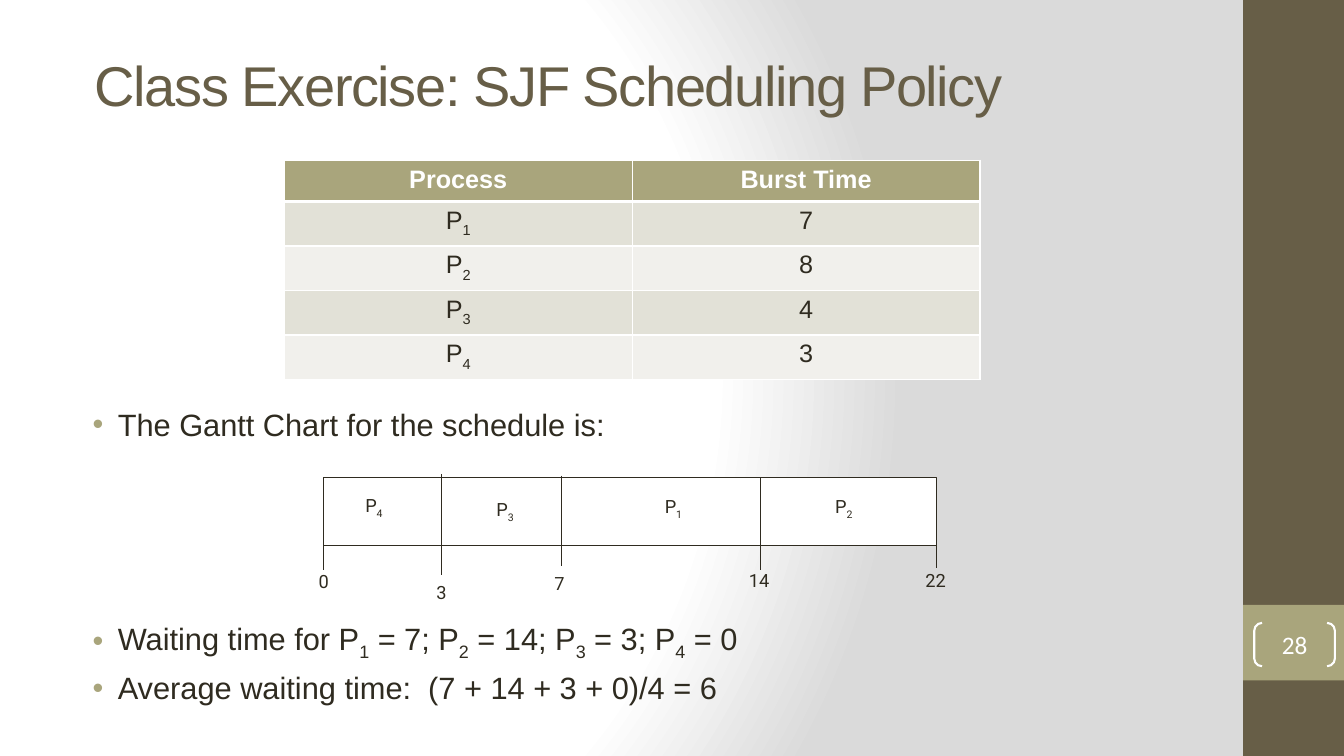
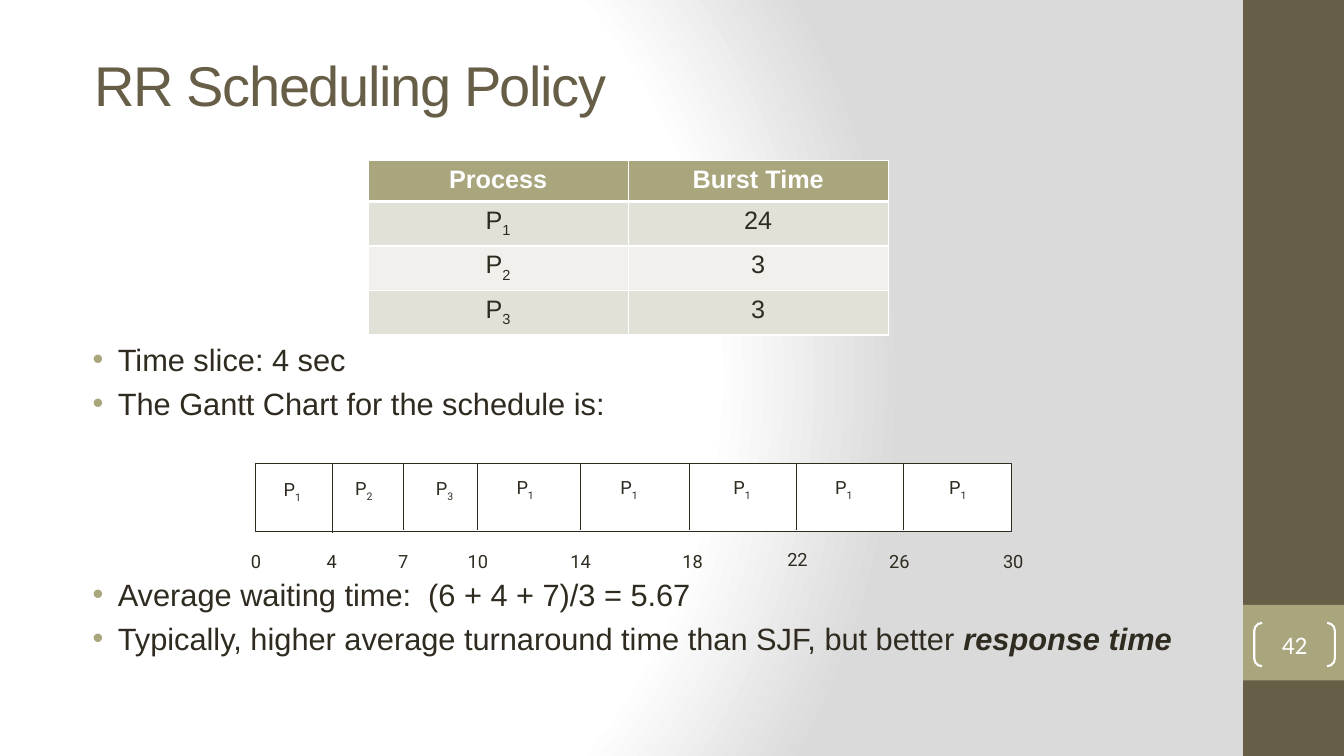
from dataclasses import dataclass

from pptx import Presentation
from pptx.dml.color import RGBColor
from pptx.enum.shapes import MSO_CONNECTOR, MSO_SHAPE
from pptx.enum.text import MSO_ANCHOR, PP_ALIGN
from pptx.oxml import parse_xml
from pptx.oxml.ns import nsdecls
from pptx.util import Emu, Pt

PX = 9144
RECTANGLE = MSO_SHAPE.RECTANGLE
BRACKETS = MSO_SHAPE.DOUBLE_BRACKET
STRAIGHT = MSO_CONNECTOR.STRAIGHT
CENTER = PP_ALIGN.CENTER
LEFT = PP_ALIGN.LEFT
JUSTIFY = PP_ALIGN.JUSTIFY
MIDDLE = MSO_ANCHOR.MIDDLE
TOP = MSO_ANCHOR.TOP
BLANK_LAYOUT = 6


@dataclass(frozen=True)
class Theme:
    brown: str = "675E47"
    olive: str = "A9A57C"
    ink: str = "2F2B20"
    white: str = "FFFFFF"
    shade: str = "DADADA"
    odd_row: str = "E2E1D7"
    even_row: str = "F1F0EC"
    sans: str = "Arial"
    chart_font: str = "Roboto"
    number_font: str = "Calibri"
    title_size: int = 40
    body_size: int = 22
    table_size: int = 18
    number_size: int = 18
    chart_size: int = 13


THEME = Theme()


@dataclass(frozen=True)
class Box:
    left: int
    top: int
    width: int
    height: int

    def emu(self) -> tuple[Emu, Emu, Emu, Emu]:
        return px(self.left), px(self.top), px(self.width), px(self.height)


@dataclass(frozen=True)
class Label:
    text: str
    x: int
    y: int


@dataclass(frozen=True)
class Divider:
    x: int
    top: int
    bottom: int


@dataclass(frozen=True)
class Gantt:
    bar: Box
    dividers: list[Divider]
    labels: list[Label]


@dataclass(frozen=True)
class Bullets:
    top: int
    lines: list[str]


@dataclass(frozen=True)
class Exercise:
    title: str
    number: int
    table_left: int
    column_width: int
    bursts: list[int]
    bullets: list[Bullets]
    gantt: Gantt


def px(length: int) -> Emu:
    return Emu(length * PX)


def split_spans(line: str) -> list[tuple[str, bool, bool]]:
    spans = []
    for index, part in enumerate(line.split("*")):
        strong = index % 2 == 1
        first, *rest = part.split("_")
        spans.append((first, False, strong))
        for piece in rest:
            spans += [(piece[:1], True, strong), (piece[1:], False, strong)]
    return [span for span in spans if span[0]]


def add_bullet(para) -> None:
    properties = para._p.get_or_add_pPr()
    properties.set("marL", str(px(38)))
    properties.set("indent", str(-px(25)))
    for tag in (
        f'<a:buClr {nsdecls("a")}><a:srgbClr val="{THEME.olive}"/></a:buClr>',
        f'<a:buFont {nsdecls("a")} typeface="{THEME.sans}"/>',
        f'<a:buChar {nsdecls("a")} char="•"/>',
    ):
        properties.append(parse_xml(tag))


def write_text(frame, lines: list[str], *, size: int, font: str = THEME.sans,
               color: str = THEME.ink, align=LEFT, bold: bool = False,
               tracking: int = 0, bullet: bool = False, gap: int = 0) -> None:
    for index, line in enumerate(lines):
        para = frame.add_paragraph() if index else frame.paragraphs[0]
        if bullet:
            add_bullet(para)
        para.alignment = align
        if index and gap:
            para.space_before = Pt(gap)
        for text, lowered, strong in split_spans(line):
            span = para.add_run()
            span.text = text
            span.font.size = Pt(size)
            span.font.name = font
            span.font.color.rgb = RGBColor.from_string(color)
            span.font.bold = bold or strong
            span.font.italic = strong
            properties = span._r.get_or_add_rPr()
            if lowered:
                properties.set("baseline", "-25000")
            if tracking:
                properties.set("spc", str(tracking))


def set_frame(frame, *, anchor, wrap: bool, inset_x: int, inset_y: int) -> None:
    frame.word_wrap = wrap
    frame.vertical_anchor = anchor
    frame.margin_left = frame.margin_right = px(inset_x)
    frame.margin_top = frame.margin_bottom = px(inset_y)


def add_text(page, box: Box, lines: list[str], *, anchor=TOP, wrap: bool = True,
             inset_y: int = 0, **text_format) -> None:
    frame = page.shapes.add_textbox(*box.emu()).text_frame
    set_frame(frame, anchor=anchor, wrap=wrap, inset_x=10, inset_y=inset_y)
    write_text(frame, lines, **text_format)


def add_shape(page, kind, box: Box, *, fill: str = "", line: str = "",
              weight: float = 0.75):
    shape = page.shapes.add_shape(kind, *box.emu())
    shape.shadow.inherit = False
    if fill:
        shape.fill.solid()
        shape.fill.fore_color.rgb = RGBColor.from_string(fill)
    else:
        shape.fill.background()
    if line:
        shape.line.color.rgb = RGBColor.from_string(line)
        shape.line.width = Pt(weight)
    else:
        shape.line.fill.background()
    return shape


def add_divider(page, divider: Divider) -> None:
    line = page.shapes.add_connector(STRAIGHT, px(divider.x), px(divider.top),
                                     px(divider.x), px(divider.bottom))
    line.line.color.rgb = RGBColor.from_string(THEME.ink)
    line.line.width = Pt(0.75)
    line._element.spPr.append(parse_xml(f'<a:effectLst {nsdecls("a")}/>'))


def set_background(page) -> None:
    stops = "".join(
        f'<a:gs pos="{position}"><a:srgbClr val="{color}"/></a:gs>'
        for position, color in ((0, THEME.white), (75000, THEME.white), (100000, THEME.shade))
    )
    page._element.cSld.insert(0, parse_xml(
        f'<p:bg {nsdecls("p", "a")}><p:bgPr><a:gradFill rotWithShape="1">'
        f'<a:gsLst>{stops}</a:gsLst><a:path path="circle">'
        '<a:fillToRect l="20000" t="50000" r="100000" b="50000"/></a:path>'
        '</a:gradFill><a:effectLst/></p:bgPr></p:bg>'
    ))


def add_base(page, title: str, number: int) -> None:
    set_background(page)
    add_shape(page, RECTANGLE, Box(1233, 0, 100, 750), fill=THEME.brown)
    add_shape(page, RECTANGLE, Box(1233, 600, 100, 75), fill=THEME.olive)
    add_text(page, Box(84, 61, 1091, 45), [title], anchor=MIDDLE,
             size=THEME.title_size, color=THEME.brown, tracking=-100)
    badge = add_shape(page, BRACKETS, Box(1244, 618, 80, 43), line=THEME.white, weight=1.5)
    badge.adjustments[0] = 0.18
    set_frame(badge.text_frame, anchor=MIDDLE, wrap=True, inset_x=0, inset_y=0)
    write_text(badge.text_frame, [str(number)], size=THEME.number_size,
               font=THEME.number_font, color=THEME.white, align=CENTER)


def set_borders(cell, row: int) -> None:
    weights = {"L": 1, "R": 1, "T": 3 if row == 1 else 1, "B": 3 if row == 0 else 1}
    for side, weight in weights.items():
        cell._tc.get_or_add_tcPr().append(parse_xml(
            f'<a:ln{side} {nsdecls("a")} w="{Pt(weight)}"><a:solidFill>'
            f'<a:srgbClr val="{THEME.white}"/></a:solidFill></a:ln{side}>'
        ))


def add_burst_table(page, left: int, column_width: int, bursts: list[int]) -> None:
    rows = [("Process", "Burst Time")]
    rows += [(f"P_{index}", str(burst)) for index, burst in enumerate(bursts, 1)]
    box = Box(left, 159, 2 * column_width, 41 * len(rows))
    table = page.shapes.add_table(len(rows), 2, *box.emu()).table
    for row, texts in enumerate(rows):
        header = row == 0
        fill = THEME.olive if header else THEME.odd_row if row % 2 else THEME.even_row
        for column, text in enumerate(texts):
            cell = table.cell(row, column)
            set_borders(cell, row)
            cell.fill.solid()
            cell.fill.fore_color.rgb = RGBColor.from_string(fill)
            write_text(cell.text_frame, [text], size=THEME.table_size, align=CENTER,
                       color=THEME.white if header else THEME.ink, bold=header)


def add_gantt(page, gantt: Gantt) -> None:
    add_shape(page, RECTANGLE, gantt.bar, fill=THEME.white, line=THEME.ink)
    for divider in gantt.dividers:
        add_divider(page, divider)
    for label in gantt.labels:
        add_text(page, Box(label.x - 20, label.y - 16, 40, 32), [label.text],
                 anchor=MIDDLE, wrap=False, inset_y=5, size=THEME.chart_size,
                 font=THEME.chart_font, align=CENTER)


def add_exercise(deck, exercise: Exercise) -> None:
    page = deck.slides.add_slide(deck.slide_layouts[BLANK_LAYOUT])
    add_base(page, exercise.title, exercise.number)
    for block in exercise.bullets:
        add_text(page, Box(69, block.top, 1141, 42 * len(block.lines)), block.lines,
                 size=THEME.body_size, align=JUSTIFY, bullet=True, gap=5)
    add_burst_table(page, exercise.table_left, exercise.column_width, exercise.bursts)
    add_gantt(page, exercise.gantt)


SHORTEST_FIRST = Gantt(
    Box(321, 474, 608, 67),
    [Divider(321, 540, 565), Divider(438, 470, 570), Divider(557, 472, 562),
     Divider(754, 474, 565), Divider(929, 539, 564)],
    [Label("P_4", 371, 503), Label("P_3", 501, 507), Label("P_1", 668, 504),
     Label("P_2", 837, 504), Label("0", 321, 577), Label("3", 438, 588),
     Label("7", 555, 579), Label("14", 753, 576), Label("22", 928, 576)],
)

ROUND_ROBIN = Gantt(
    Box(253, 460, 750, 67),
    [Divider(x, 460, 529 if x == 330 else 526)
     for x in (330, 400, 474, 576, 684, 790, 896)],
    [Label("P_1", 290, 487), Label("P_2", 361, 486), Label("P_3", 441, 486)]
    + [Label("P_1", x, 485) for x in (521, 624, 736, 837, 950)]
    + [Label(time, x, 555 if time == "22" else 557) for time, x in (
        ("0", 254), ("4", 329), ("7", 400), ("10", 474), ("14", 576),
        ("18", 687), ("22", 791), ("26", 892), ("30", 1005))],
)

EXERCISES = [
    Exercise(
        "Class Exercise: SJF Scheduling Policy", 28, 282, 345, [7, 8, 4, 3],
        [Bullets(402, ["The Gantt Chart for the schedule is:"]),
         Bullets(615, ["Waiting time for P_1 = 7; P_2 = 14; P_3 = 3; P_4 = 0",
                       "Average waiting time:  (7 + 14 + 3 + 0)/4 = 6"])],
        SHORTEST_FIRST,
    ),
    Exercise(
        "RR Scheduling Policy", 42, 365, 258, [24, 3, 3],
        [Bullets(338, ["Time slice: 4 sec", "The Gantt Chart for the schedule is:"]),
         Bullets(571, ["Average waiting time:  (6 + 4 + 7)/3 = 5.67",
                       "Typically, higher average turnaround time than SJF, "
                       "but better *response time*"])],
        ROUND_ROBIN,
    ),
]


def main() -> None:
    deck = Presentation()
    deck.slide_width, deck.slide_height = px(1333), px(750)
    for exercise in EXERCISES:
        add_exercise(deck, exercise)
    deck.save("out.pptx")


if __name__ == "__main__":
    main()
